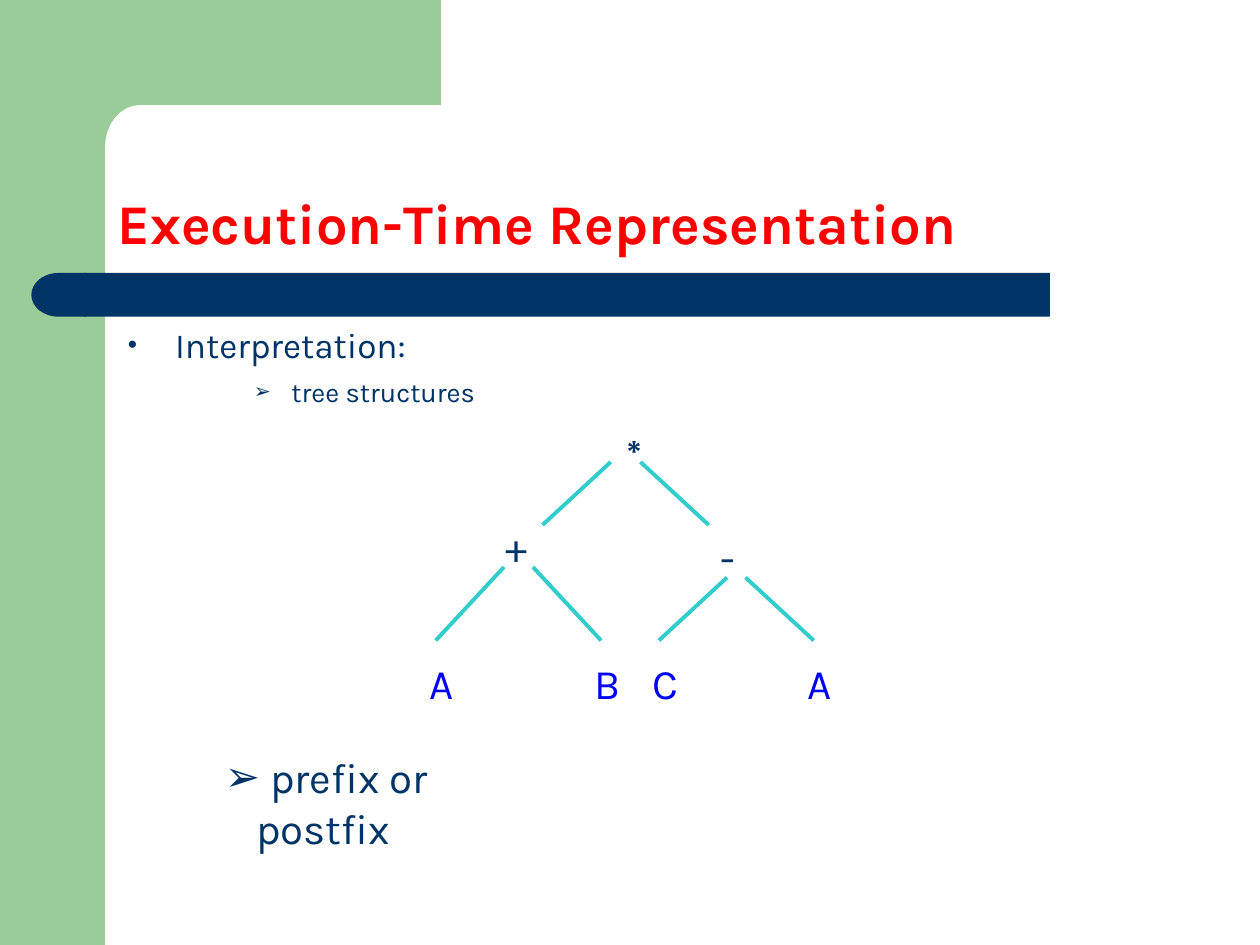
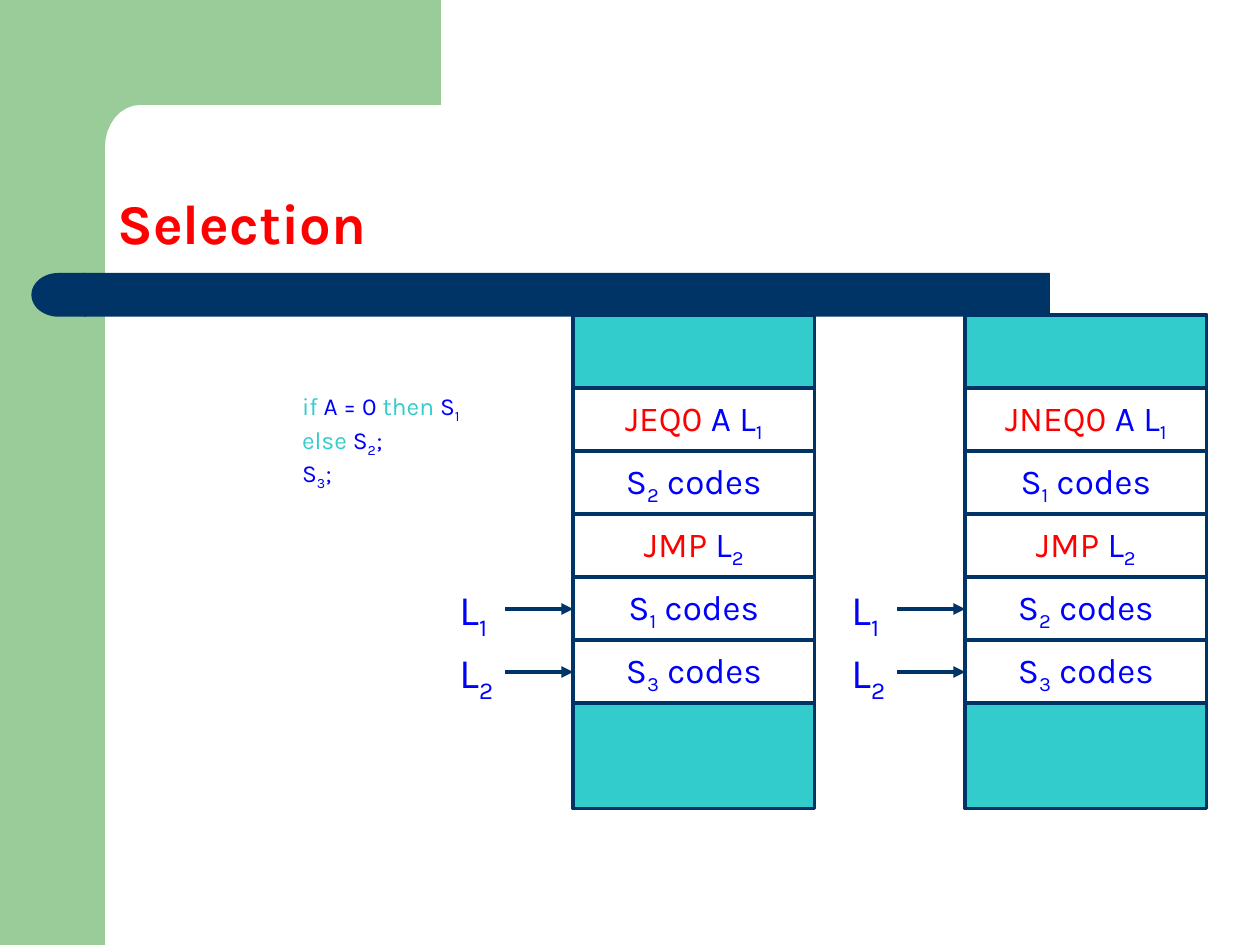
from math import cos, pi, sin

from lxml.etree import SubElement
from pptx import Presentation
from pptx.dml.color import RGBColor
from pptx.enum.shapes import MSO_CONNECTOR as Link, MSO_SHAPE as Kind
from pptx.enum.text import MSO_ANCHOR as Anchor, PP_ALIGN as Align
from pptx.oxml.ns import qn
from pptx.util import Pt

GREEN = RGBColor(0x99, 0xCC, 0x99)
NAVY = RGBColor(0x00, 0x33, 0x66)
TEAL = RGBColor(0x33, 0xCC, 0xCC)
RED = RGBColor(0xFF, 0x00, 0x00)
BLUE = RGBColor(0x00, 0x00, 0xFF)
FONT = "Karla"


def say(para, size, *parts, font=FONT):
    """Add (text, colour) runs; every second piece between "_" marks is a subscript."""
    for words, color in parts:
        for i, piece in enumerate(words.split("_")):
            if not piece:
                continue
            run = para.add_run()
            run.text = piece
            run.font.name, run.font.size = font, Pt(size)
            run.font.color.rgb = color
            if i % 2:
                run._r.get_or_add_rPr().set("baseline", "-25000")


def box(slide, x, y, w, h):
    """Add a wrapping text box and return its text frame."""
    frame = slide.shapes.add_textbox(Pt(x), Pt(y), Pt(w), Pt(h)).text_frame
    frame.word_wrap = True
    return frame


deck = Presentation()
deck.slide_width, deck.slide_height = Pt(720), Pt(540)

# Shared frame: green corner, navy bar, red title
corner = [(80 - 20 * sin(a), 84 - 24 * cos(a)) for a in (pi / 16 * i for i in range(9))]
edge = [(252, 60), *corner, (60, 92), (36, 92), (36, 0)]
for title in ("Execution-Time Representation", "Selection"):
    slide = deck.slides.add_slide(deck.slide_layouts[6])
    shapes = slide.shapes
    pen = shapes.build_freeform(Pt(252), Pt(0), scale=1.0)
    pen.add_line_segments([(Pt(x), Pt(y)) for x, y in edge], close=True)
    side = shapes.add_shape(Kind.RECTANGLE, Pt(0), Pt(0), Pt(60), Pt(540))
    bend = pen.convert_to_shape()
    bar = shapes.add_shape(Kind.RECTANGLE, Pt(48), Pt(156), Pt(552), Pt(25))
    cap = shapes.add_shape(Kind.FLOWCHART_DELAY, Pt(18), Pt(156), Pt(31), Pt(25))
    cap._element.spPr.get_or_add_xfrm().set("flipH", "1")
    for part, color in ((side, GREEN), (bend, GREEN), (bar, NAVY), (cap, NAVY)):
        part.shadow.inherit = False
        part.fill.solid()
        part.fill.fore_color.rgb = color
        part.line.fill.background()
    frame = box(slide, 60, 60, 624, 90)
    frame.vertical_anchor = Anchor.BOTTOM
    head = frame.paragraphs[0]
    head.line_spacing = 0.9
    say(head, 32, (title, RED))
    head.runs[0].font.bold = True

tree, code = deck.slides

# Expression tree
body = box(tree, 66, 186, 605, 87)
topic, point = body.paragraphs[0], body.add_paragraph()
say(topic, 20.1, ("Interpretation:", NAVY))
say(point, 15.5, ("tree structures", NAVY))
topic.line_spacing = point.line_spacing = 0.8
point.space_before = Pt(9.5)

nodes = [
    ("∗", 343.5, 234, NAVY, "Arial"),
    ("+", 282, 294, NAVY, FONT),
    ("-", 404.5, 300, NAVY, FONT),
    ("A", 238.5, 372, BLUE, FONT),
    ("B", 332.5, 372, BLUE, FONT),
    ("C", 366, 372, BLUE, FONT),
    ("A", 454.5, 372, BLUE, FONT),
]
for sign, x, y, color, font in nodes:
    say(box(tree, x, y, 28, 36).paragraphs[0], 24, (sign, color), font=font)

wires = []
for left, right, top, foot in ((349, 366, 264, 300), (288, 304.5, 324, 366), (415.5, 426, 330, 366)):
    for x, end in ((left, left - 39), (right, right + 39)):
        wire = tree.shapes.add_connector(Link.STRAIGHT, Pt(x), Pt(top), Pt(end), Pt(foot))
        wires.append((wire, TEAL))

order = box(tree, 121.5, 426, 199.5, 65).paragraphs[0]
say(order, 24, (" prefix or postfix", NAVY))

for para, mark, left, hang, scale in (
    (topic, "•", 27, 27, 75),
    (point, "➢", 93.5, 21.5, 75),
    (order, "➢", 18, 18, 100),
):
    props = para._p.get_or_add_pPr()
    props.set("marL", str(Pt(left)))
    props.set("indent", str(-Pt(hang)))
    SubElement(props, qn("a:buSzPct")).set("val", str(scale * 1000))
    SubElement(props, qn("a:buFont")).set("typeface", "Arial")
    SubElement(props, qn("a:buChar")).set("char", mark)

# Source code and its two translations
frame = box(code, 165.5, 220, 140, 66)
lines = [
    [("if ", TEAL), ("A = 0", BLUE), (" then ", TEAL), ("S_1", BLUE)],
    [("else", TEAL), (" S_2_;", BLUE)],
    [("S_3_;", BLUE)],
]
for i, parts in enumerate(lines):
    say(frame.add_paragraph() if i else frame.paragraphs[0], 14, *parts)

for x, test, first, second in ((327.5, "JEQ0", 2, 1), (551.5, "JNEQ0", 1, 2)):
    rows = [
        (42, [], ""),
        (36, [(test, RED), (" A L_1", BLUE)], ""),
        (36, [(f"S_{first}_ codes", BLUE)], ""),
        (36, [("JMP", RED), (" L_2", BLUE)], ""),
        (36, [(f"S_{second}_ codes", BLUE)], "L_1"),
        (36, [("S_3_ codes", BLUE)], "L_2"),
        (60, [], ""),
    ]
    y = 180
    for high, parts, label in rows:
        cell = code.shapes.add_shape(Kind.RECTANGLE, Pt(x), Pt(y), Pt(138), Pt(high))
        cell.shadow.inherit = False
        cell.line.color.rgb, cell.line.width = NAVY, Pt(2.25)
        if parts:
            cell.fill.background()
            cell.text_frame.word_wrap = False
            cell.text_frame.vertical_anchor = Anchor.MIDDLE
            para = cell.text_frame.paragraphs[0]
            para.alignment = Align.CENTER
            say(para, 20, *parts)
        else:
            cell.fill.solid()
            cell.fill.fore_color.rgb = TEAL
        if label:
            say(box(code, x - 72, y, 44, 40).paragraphs[0], 24, (label, BLUE))
            mid = Pt(y + high / 2)
            arrow = code.shapes.add_connector(Link.STRAIGHT, Pt(x - 39), mid, Pt(x), mid)
            arrow.end_connect(cell, 1)
            wires.append((arrow, NAVY))
        y += high

for wire, color in wires:
    wire.line.color.rgb, wire.line.width = color, Pt(2.25)
    if color == NAVY:
        SubElement(wire.line._get_or_add_ln(), qn("a:tailEnd")).set("type", "triangle")
    SubElement(wire._element.spPr, qn("a:effectLst"))

deck.save("out.pptx")
